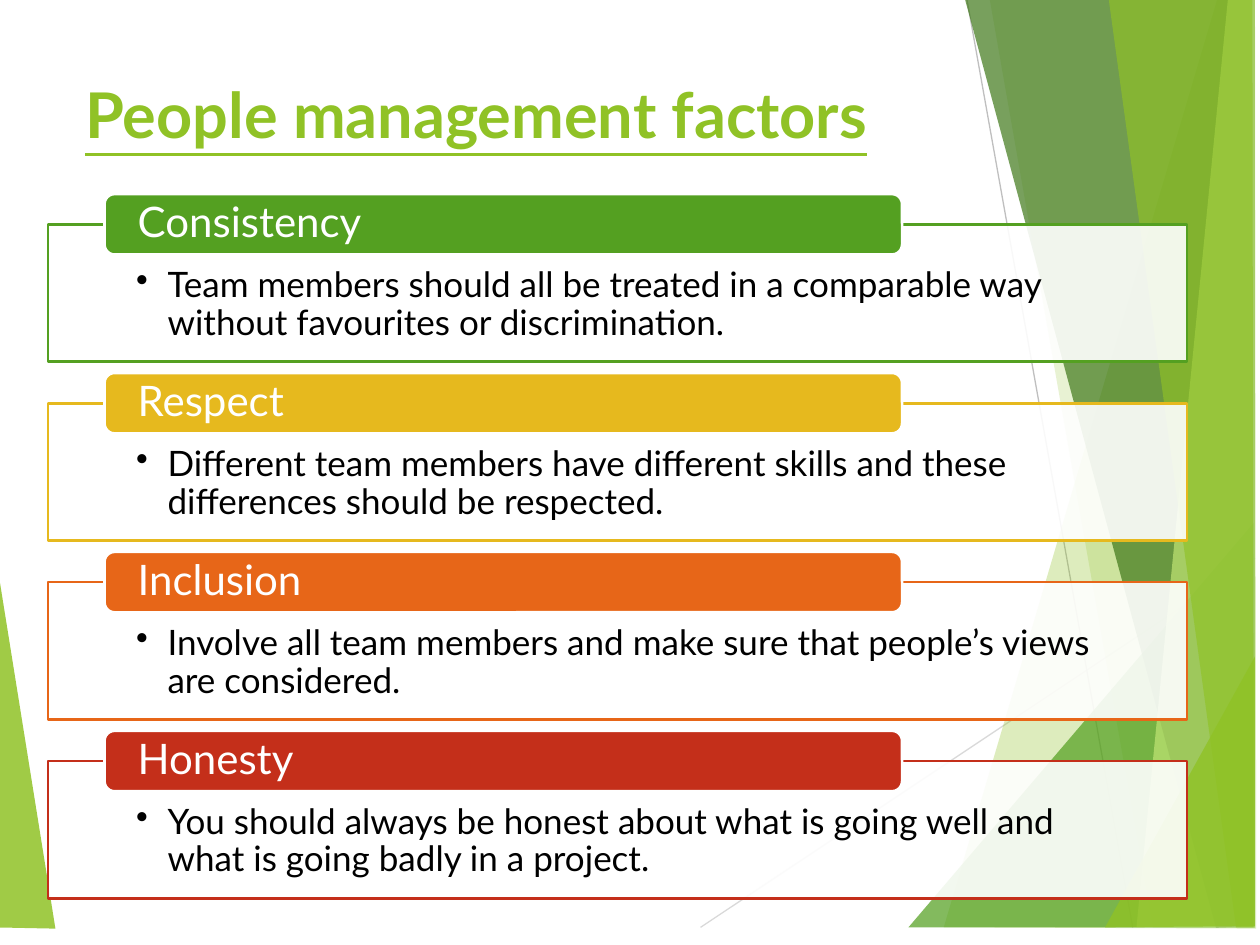
from dataclasses import dataclass

from lxml import etree
from pptx import Presentation
from pptx.dml.color import RGBColor
from pptx.enum.shapes import MSO_CONNECTOR, MSO_SHAPE
from pptx.enum.text import MSO_ANCHOR, PP_ALIGN
from pptx.oxml.ns import qn
from pptx.util import Inches, Pt

RECTANGLE = MSO_SHAPE.RECTANGLE
ROUNDED = MSO_SHAPE.ROUNDED_RECTANGLE
STRAIGHT = MSO_CONNECTOR.STRAIGHT
TOP, MIDDLE = MSO_ANCHOR.TOP, MSO_ANCHOR.MIDDLE
LEFT = PP_ALIGN.LEFT

FONT = "Lato"
LIME, WHITE, BLACK = "90C226", "FFFFFF", "000000"
FIRST_PANEL_TOP = 1.78
PANEL_STEP = 1.42
TAB_RISE = 0.24


@dataclass
class Facet:
    points: list[tuple[float, float]]
    colour: str
    opacity: int


@dataclass
class Ray:
    start: tuple[float, float]
    end: tuple[float, float]
    colour: str


@dataclass
class Factor:
    name: str
    advice: str
    colour: str


LEFT_FACET = Facet([(-0.06, 4.25), (0.44, 7.37), (-0.06, 7.36)], LIME, 85)
RAYS = [
    Ray((5.56, 7.36), (9.96, 4.43), "D9D9D9"),
    Ray((7.65, -0.14), (8.99, 7.36), "BFBFBF"),
]
RIGHT_FACETS = [
    Facet([(9.7, -0.14), (7.49, 7.36), (9.97, 7.37), (9.96, -0.13)], LIME, 30),
    Facet([(7.83, -0.15), (9.15, 7.36), (9.96, 7.36), (9.96, -0.15)], LIME, 20),
    Facet([(7.21, 7.36), (9.95, 4.15), (9.96, 7.36)], "54A021", 72),
    Facet([(7.62, -0.15), (9.65, 7.36), (9.96, 7.35), (9.96, -0.15)], "3F7819", 70),
    Facet([(9.76, -0.15), (9.02, 7.36), (9.96, 7.36), (9.96, -0.15)], "C0E474", 70),
    Facet([(8.78, -0.15), (9.81, 7.36), (9.95, 7.36), (9.94, -0.15)], LIME, 65),
    Facet([(8.77, 7.36), (9.96, 5.21), (9.96, 7.35)], LIME, 80),
]
FACTORS = [
    Factor("Consistency", "Team members should all be treated in a comparable way "
           "without favourites or discrimination.", "54A021"),
    Factor("Respect", "Different team members have different skills and these "
           "differences should be respected.", "E6B91E"),
    Factor("Inclusion", "Involve all team members and make sure that people’s views "
           "are considered.", "E76618"),
    Factor("Honesty", "You should always be honest about what is going well and "
           "what is going badly in a project.", "C42F1A"),
]


def rgb(colour: str) -> RGBColor:
    return RGBColor.from_string(colour)


def fill_shape(shape, colour: str, opacity: int = 100) -> None:
    """Set a solid fill, with opacity in percent, and drop the shadow."""
    shape.shadow.inherit = False
    shape.fill.solid()
    shape.fill.fore_color.rgb = rgb(colour)
    if opacity < 100:
        colour_node = shape.fill._xPr.find(qn("a:solidFill"))[0]
        etree.SubElement(colour_node, qn("a:alpha"), val=str(opacity * 1000))


def draw_facet(page, facet: Facet) -> None:
    corners = [(Inches(x), Inches(y)) for x, y in facet.points]
    builder = page.shapes.build_freeform(*corners[0])
    builder.add_line_segments(corners[1:], close=True)
    shape = builder.convert_to_shape()
    fill_shape(shape, facet.colour, facet.opacity)
    shape.line.fill.background()


def draw_ray(page, ray: Ray) -> None:
    ends = [Inches(value) for value in (*ray.start, *ray.end)]
    line = page.shapes.add_connector(STRAIGHT, *ends)
    line.line.color.rgb = rgb(ray.colour)
    line.line.width = Pt(0.75)
    etree.SubElement(line._element.spPr, qn("a:effectLst"))


def write(shape, text: str, size: float, colour: str, insets: tuple[float, ...],
          anchor=TOP):
    """Write one paragraph; insets run left, top, right, bottom."""
    frame = shape.text_frame
    frame.word_wrap = True
    frame.vertical_anchor = anchor
    (frame.margin_left, frame.margin_top,
     frame.margin_right, frame.margin_bottom) = map(Inches, insets)
    para = frame.paragraphs[0]
    para.alignment = LEFT
    span = para.add_run()
    span.text = text
    span.font.name = FONT
    span.font.size = Pt(size)
    span.font.color.rgb = rgb(colour)
    return para


def add_bullet(para) -> None:
    properties = para._p.get_or_add_pPr()
    properties.set("marL", str(Inches(0.25)))
    properties.set("indent", str(Inches(-0.25)))
    etree.SubElement(properties, qn("a:buChar"), char="•")


def add_block(page, kind, place: tuple[float, ...], line_colour: str):
    block = page.shapes.add_shape(kind, *map(Inches, place))
    block.line.color.rgb = rgb(line_colour)
    block.line.width = Pt(1.5)
    return block


def draw_factor(page, factor: Factor, top: float) -> None:
    panel = add_block(page, RECTANGLE, (0.38, top, 9.04, 1.09), factor.colour)
    fill_shape(panel, WHITE, 90)
    para = write(panel, factor.advice, 20, BLACK, (0.7, 0.34, 0.7, 0.16))
    add_bullet(para)
    para.line_spacing = 0.9

    tab = add_block(page, ROUNDED, (0.83, top - TAB_RISE, 6.33, 0.48), WHITE)
    fill_shape(tab, factor.colour)
    para = write(tab, factor.name, 24, WHITE, (0.24, 0, 0.24, 0), MIDDLE)
    para.line_spacing = 0.9


def main() -> None:
    deck = Presentation()
    deck.slide_width, deck.slide_height = Inches(10), Inches(7.5)
    page = deck.slides.add_slide(deck.slide_layouts[6])

    draw_facet(page, LEFT_FACET)
    for ray in RAYS:
        draw_ray(page, ray)
    for facet in RIGHT_FACETS:
        draw_facet(page, facet)

    title = page.shapes.add_textbox(*map(Inches, (0.58, 0.55, 8.36, 0.75)))
    para = write(title, "People management factors", 36, LIME, (0.1, 0.05, 0.1, 0.05))
    para.runs[0].font.bold = True
    para.runs[0].font.underline = True

    for row, factor in enumerate(FACTORS):
        draw_factor(page, factor, FIRST_PANEL_TOP + row * PANEL_STEP)

    deck.save("out.pptx")


if __name__ == "__main__":
    main()
